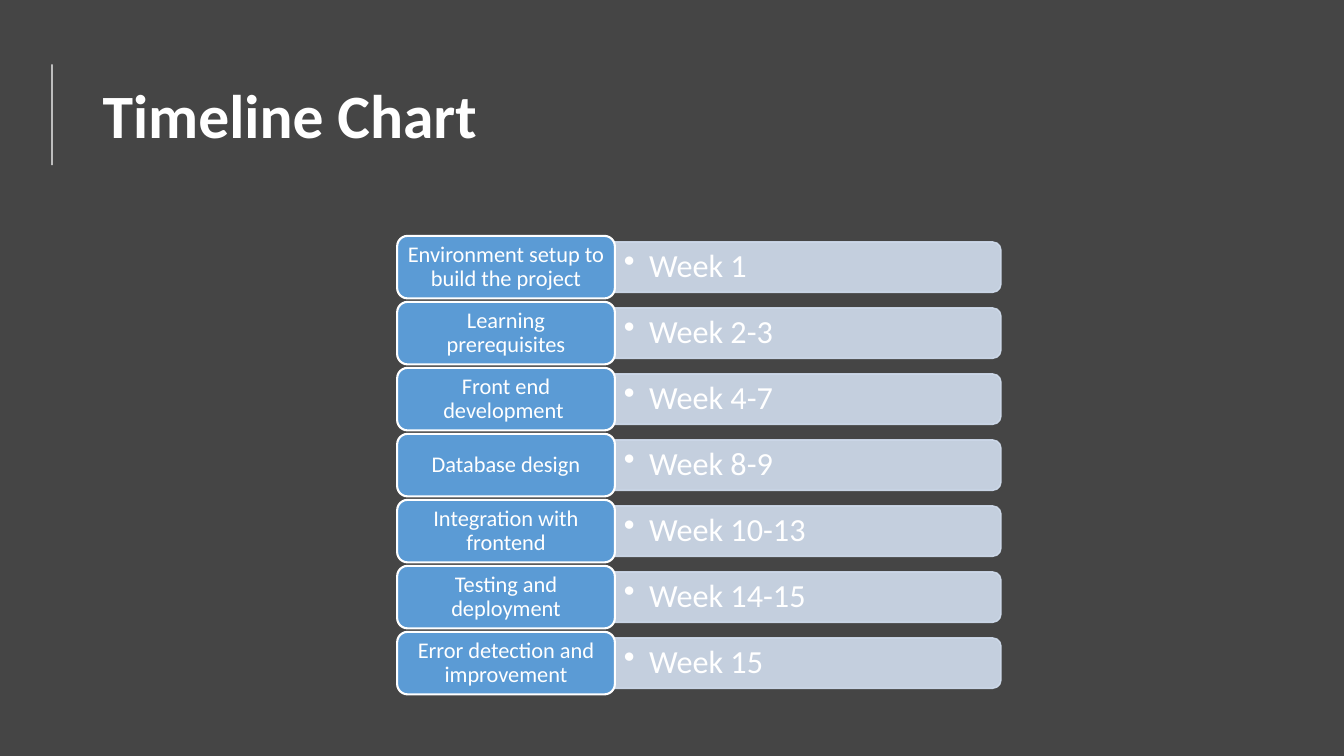
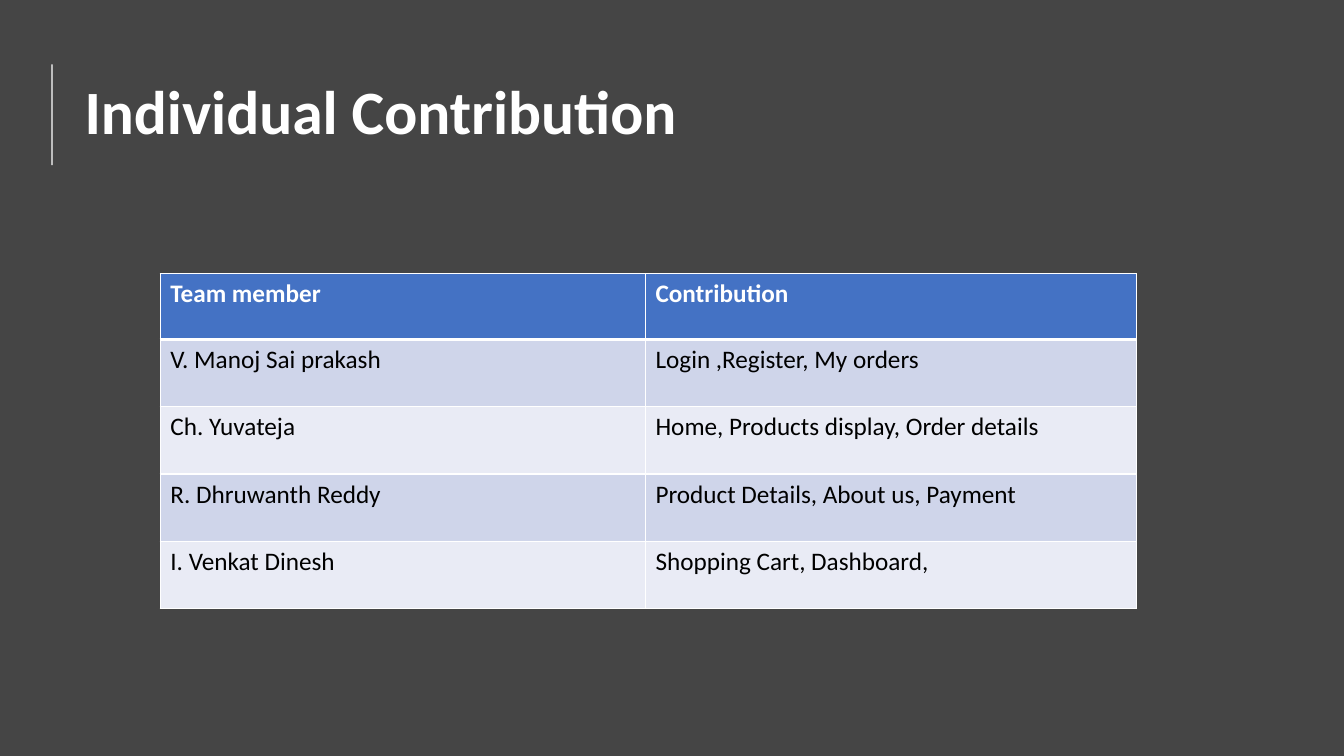
"""Build the timeline and team contribution slides."""
from dataclasses import dataclass

import pptx
import pptx.dml.color
import pptx.enum.shapes
import pptx.enum.text
import pptx.oxml.ns
import pptx.shapes.autoshape
import pptx.slide
import pptx.table
import pptx.text.text
import pptx.util
from lxml import etree

COLOURS = {
    "backdrop": "454545",
    "white": "FFFFFF",
    "black": "000000",
    "task": "5B9BD5",
    "week": "D2DEEF",
    "header": "4472C4",
    "odd_row": "CFD5EA",
    "even_row": "E9EBF5",
}
FONT = "Calibri"
SLIDE_WIDTH = pptx.util.Inches(13.33)
SLIDE_HEIGHT = pptx.util.Inches(7.5)
SHAPES = pptx.enum.shapes.MSO_SHAPE
ALIGN = pptx.enum.text.PP_ALIGN
MIDDLE = pptx.enum.text.MSO_ANCHOR.MIDDLE

TASK_LEFT, TASK_TOP, TASK_WIDTH, TASK_HEIGHT = 29.55, 31.2, 16.2, 8.27
STEP_PITCH = 8.73
WEEK_LEFT, WEEK_WIDTH, WEEK_HEIGHT = 45.68, 28.8, 6.67
TABLE_LEFT, TABLE_TOP = 11.93, 36.2
TABLE_COLUMNS = (36.1, 36.55)
HEADER_HEIGHT, MEMBER_HEIGHT = 8.7, 8.9


@dataclass(frozen=True)
class Box:
    """A rectangle in percent of the slide's width and height."""

    left: float
    top: float
    width: float
    height: float

    def emu(self) -> tuple[int, int, int, int]:
        """Return left, top, width and height as slide lengths."""
        return across(self.left), down(self.top), across(self.width), down(self.height)


@dataclass(frozen=True)
class Step:
    """A task and the weeks it takes."""

    task: str
    weeks: str


@dataclass(frozen=True)
class Member:
    """A team member and the parts they built."""

    name: str
    contribution: str


STEPS = (
    Step("Environment setup to build the project", "Week 1"),
    Step("Learning prerequisites", "Week 2-3"),
    Step("Front end development ", "Week 4-7"),
    Step("Database design", "Week 8-9"),
    Step("Integration with frontend", "Week 10-13"),
    Step("Testing and deployment", "Week 14-15"),
    Step("Error detection and improvement", "Week 15"),
)
TEAM = (
    Member("V. Manoj Sai prakash", "Login ,Register, My orders"),
    Member("Ch. Yuvateja", "Home, Products display, Order details"),
    Member("R. Dhruwanth Reddy", "Product Details, About us, Payment"),
    Member("I. Venkat Dinesh", "Shopping Cart, Dashboard,"),
)


def across(share: float) -> int:
    """Turn a percentage of the slide's width into a length."""
    return round(SLIDE_WIDTH * share / 100)


def down(share: float) -> int:
    """Turn a percentage of the slide's height into a length."""
    return round(SLIDE_HEIGHT * share / 100)


def rgb(name: str) -> pptx.dml.color.RGBColor:
    """Look up a named colour."""
    return pptx.dml.color.RGBColor.from_string(COLOURS[name])


def style(
    paragraph: pptx.text.text._Paragraph, size: float, colour: str = "white", bold: bool = False
) -> None:
    """Set the font of a paragraph."""
    font = paragraph.font
    font.name, font.size, font.bold = FONT, pptx.util.Pt(size), bold
    font.color.rgb = rgb(colour)


def set_margins(frame: pptx.text.text.TextFrame, side: float, edge: float) -> None:
    """Set equal side margins and equal top and bottom margins."""
    frame.margin_left = frame.margin_right = pptx.util.Inches(side)
    frame.margin_top = frame.margin_bottom = pptx.util.Inches(edge)


def write(
    frame: pptx.text.text.TextFrame,
    text: str,
    size: float,
    bold: bool = False,
    align: ALIGN = ALIGN.LEFT,
    bullet: bool = False,
) -> None:
    """Fill a frame with one vertically centred paragraph."""
    frame.word_wrap = True
    frame.vertical_anchor = MIDDLE
    paragraph = frame.paragraphs[0]
    paragraph.text = text
    paragraph.alignment = align
    paragraph.line_spacing = 0.9
    if bullet:
        properties = paragraph._p.get_or_add_pPr()
        indent = pptx.util.Inches(0.25)
        properties.set("marL", str(indent))
        properties.set("indent", str(-indent))
        etree.SubElement(properties, pptx.oxml.ns.qn("a:buChar"), char="•")
    style(paragraph, size, bold=bold)


def add_block(
    slide: pptx.slide.Slide, kind: SHAPES, box: Box, fill: str
) -> pptx.shapes.autoshape.Shape:
    """Add a filled shape without line or shadow."""
    block = slide.shapes.add_shape(kind, *box.emu())
    block.shadow.inherit = False
    block.fill.solid()
    block.fill.fore_color.rgb = rgb(fill)
    block.line.fill.background()
    return block


def outline(block: pptx.shapes.autoshape.Shape, colour: str, width: float) -> None:
    """Draw a line around a shape."""
    block.line.color.rgb = rgb(colour)
    block.line.width = pptx.util.Pt(width)


def add_titled_slide(
    deck: pptx.presentation.Presentation, title: str, left: float, top: float
) -> pptx.slide.Slide:
    """Add a dark slide with its title and side rule."""
    slide = deck.slides.add_slide(deck.slide_layouts[6])
    slide.background.fill.solid()
    slide.background.fill.fore_color.rgb = rgb("backdrop")
    heading = slide.shapes.add_textbox(*Box(left, top, 86.25, 17.47).emu())
    write(heading.text_frame, title, 44, bold=True)
    add_block(slide, SHAPES.RECTANGLE, Box(3.83, 8.53, 0.08, 13.33), "white")
    return slide


def add_week_bar(slide: pptx.slide.Slide, box: Box, weeks: str) -> None:
    """Add a translucent bar rounded on the right, with its bulleted weeks."""
    bar = add_block(slide, SHAPES.ROUND_2_SAME_RECTANGLE, box, "week")
    outline(bar, "week", 1)
    left, top, width, height = box.emu()
    bar.width, bar.height = height, width
    bar.left, bar.top = left + (width - height) // 2, top + (height - width) // 2
    bar.rotation = 90
    for colour in bar._element.spPr.iter(pptx.oxml.ns.qn("a:srgbClr")):
        etree.SubElement(colour, pptx.oxml.ns.qn("a:alpha"), val="90000")
    caption = slide.shapes.add_textbox(left, top, width, height).text_frame
    set_margins(caption, 0.1, 0.05)
    write(caption, weeks, 23, bullet=True)


def add_step(slide: pptx.slide.Slide, row: int, step: Step) -> None:
    """Add one row of the timeline."""
    top = TASK_TOP + row * STEP_PITCH
    week_top = top + (TASK_HEIGHT - WEEK_HEIGHT) / 2
    add_week_bar(slide, Box(WEEK_LEFT, week_top, WEEK_WIDTH, WEEK_HEIGHT), step.weeks)
    task_box = Box(TASK_LEFT, top, TASK_WIDTH, TASK_HEIGHT)
    task = add_block(slide, SHAPES.ROUNDED_RECTANGLE, task_box, "task")
    outline(task, "white", 1.5)
    set_margins(task.text_frame, 0.07, 0.03)
    write(task.text_frame, step.task, 16, align=ALIGN.CENTER)


def add_borders(cell: pptx.table._Cell, widths: dict[str, float]) -> None:
    """Add white borders of the given widths, ahead of the cell's fill."""
    properties = cell._tc.get_or_add_tcPr()
    for position, (side, width) in enumerate(widths.items()):
        border = etree.Element(pptx.oxml.ns.qn(f"a:ln{side}"), w=str(pptx.util.Pt(width)))
        fill = etree.SubElement(border, pptx.oxml.ns.qn("a:solidFill"))
        etree.SubElement(fill, pptx.oxml.ns.qn("a:srgbClr"), val=COLOURS["white"])
        properties.insert(position, border)


def fill_cell(cell: pptx.table._Cell, text: str, row: int) -> None:
    """Write and colour a cell according to its row."""
    header = row == 0
    cell.fill.solid()
    cell.fill.fore_color.rgb = rgb("header" if header else "odd_row" if row % 2 else "even_row")
    paragraph = cell.text_frame.paragraphs[0]
    paragraph.text = text
    style(paragraph, 18, "white" if header else "black", header)
    add_borders(cell, {"L": 1, "R": 1, "T": 3 if row == 1 else 1, "B": 3 if header else 1})


def add_team_table(slide: pptx.slide.Slide) -> None:
    """Add the table of members and contributions."""
    rows = (Member("Team member", "Contribution"), *TEAM)
    height = HEADER_HEIGHT + len(TEAM) * MEMBER_HEIGHT
    box = Box(TABLE_LEFT, TABLE_TOP, sum(TABLE_COLUMNS), height)
    table = slide.shapes.add_table(len(rows), len(TABLE_COLUMNS), *box.emu()).table
    for column, width in zip(table.columns, TABLE_COLUMNS):
        column.width = across(width)
    for row, member in enumerate(rows):
        table.rows[row].height = down(MEMBER_HEIGHT if row else HEADER_HEIGHT)
        for column, text in enumerate((member.name, member.contribution)):
            fill_cell(table.cell(row, column), text, row)


def main() -> None:
    """Build and save the deck."""
    deck = pptx.Presentation()
    deck.slide_width, deck.slide_height = SLIDE_WIDTH, SLIDE_HEIGHT
    timeline = add_titled_slide(deck, "Timeline Chart", 6.9, 6.93)
    for row, step in enumerate(STEPS):
        add_step(timeline, row, step)
    add_team_table(add_titled_slide(deck, "Individual Contribution", 5.55, 6.4))
    deck.save("out.pptx")


if __name__ == "__main__":
    main()
